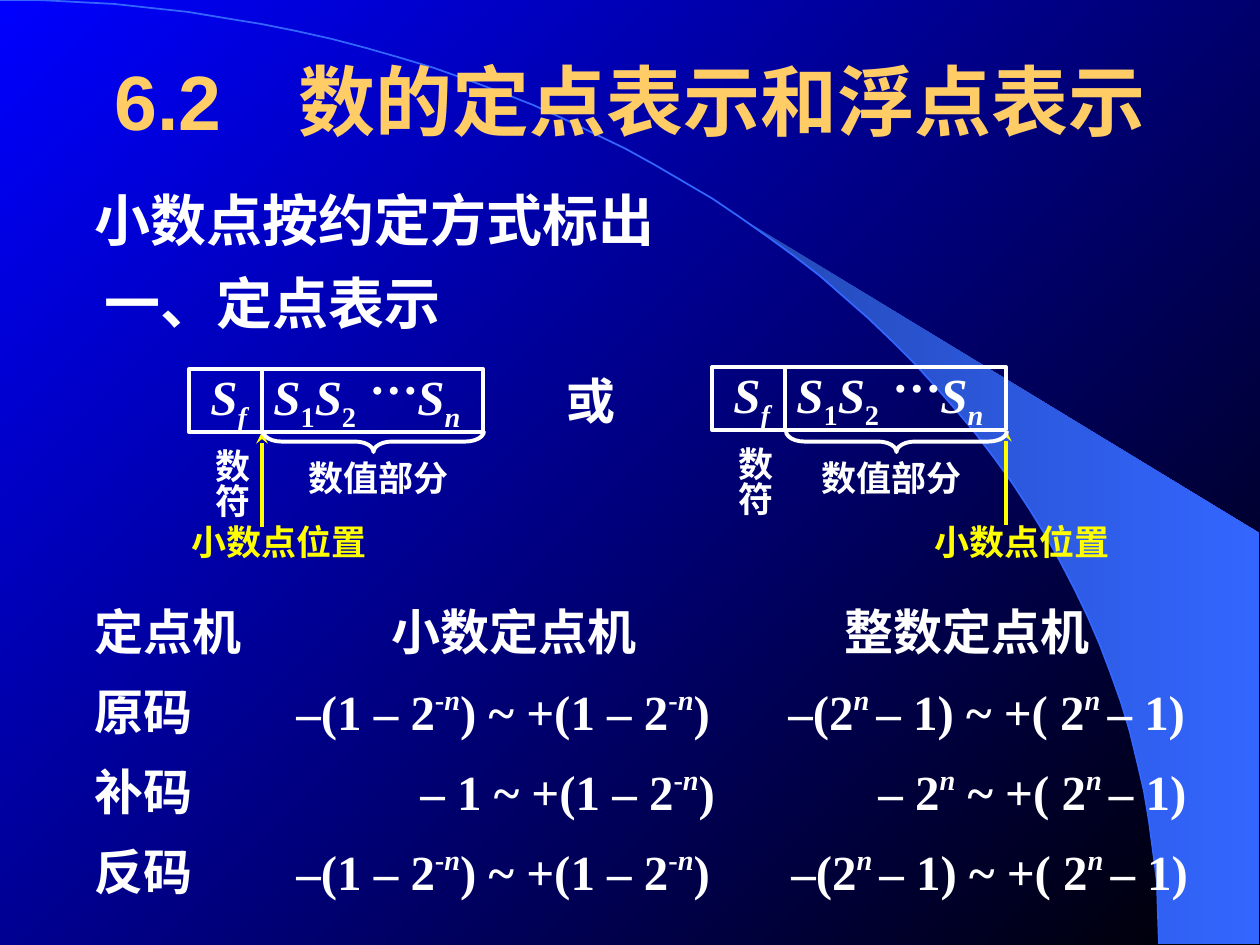
from dataclasses import dataclass

from lxml import etree
from pptx import Presentation
from pptx.dml.color import RGBColor
from pptx.enum.shapes import MSO_CONNECTOR, MSO_SHAPE
from pptx.enum.text import MSO_ANCHOR, MSO_AUTO_SIZE, PP_ALIGN
from pptx.oxml.ns import qn
from pptx.util import Emu, Pt

RECTANGLE = MSO_SHAPE.RECTANGLE
LEFT_BRACE = MSO_SHAPE.LEFT_BRACE
STRAIGHT = MSO_CONNECTOR.STRAIGHT
MIDDLE = MSO_ANCHOR.MIDDLE
CENTER = PP_ALIGN.CENTER
GROW = MSO_AUTO_SIZE.SHAPE_TO_FIT_TEXT
EMU_PER_PX = 914400 / 126


@dataclass(frozen=True)
class Theme:
    heading_font: str = "Arial"
    body_font: str = "Times New Roman"
    white: str = "FFFFFF"
    yellow: str = "FFFF00"
    gold: str = "FFCC66"
    sky: str = "3366FF"
    deep_sky: str = "2449B6"
    blue: str = "0000FF"
    black: str = "000000"
    title_size: int = 44
    heading_size: int = 32
    body_size: int = 28
    label_size: int = 20
    rule: float = 2.25
    arc_rule: float = 1


THEME = Theme()
BASELINES = {"^": "40000", "_": "-25000"}
REGISTER_WIDTH, REGISTER_HEIGHT, SIGN_WIDTH = 294, 63, 73

REGISTER_BITS = [("S", "i"), ("f", "_i"), ("\t", ""), ("S", "i"), ("1", "_"),
                 ("S", "i"), ("2", "_"), ("\t", ""), ("S", "i"), ("n", "_i")]
POSITIVE_FRACTION = [("-", "^"), ("n", "^i"), (")", "")]
FRACTION_RANGE = [("–(1 – 2", ""), ("-", "^"), ("n", "^i"), (") ~ +(1 – 2", ""),
                  *POSITIVE_FRACTION]
POSITIVE_INTEGER = [("n ", "^i"), ("– 1)", "")]
INTEGER_RANGE = [("–(2", ""), ("n ", "^i"), ("– 1) ~ +( 2", ""), *POSITIVE_INTEGER]
FRACTION_COMPLEMENT = [("– 1 ~ +(1 – 2", ""), *POSITIVE_FRACTION]
INTEGER_COMPLEMENT = [("– 2", ""), ("n", "^i"), (" ~ +( 2", ""), *POSITIVE_INTEGER]


def px(value):
    return Emu(round(value * EMU_PER_PX))


def rgb(value):
    return RGBColor.from_string(value)


def fill_gradient(fill, colors, angle):
    fill.gradient()
    fill.gradient_angle = angle
    for stop, color, position in zip(fill.gradient_stops, colors, (0, 1)):
        stop.color.rgb = rgb(color)
        stop.position = position


def set_line(line, color, width=THEME.rule):
    line.color.rgb = rgb(color)
    line.width = Pt(width)


def add_runs(paragraph, runs, size, color, font_name):
    for text, style in runs:
        run = paragraph.add_run()
        run.text = text
        font = run.font
        font.name = font_name
        font.size = Pt(size)
        font.bold = True
        font.italic = "i" in style
        font.color.rgb = rgb(color)
        for mark, baseline in BASELINES.items():
            if mark in style:
                run._r.get_or_add_rPr().set("baseline", baseline)


def add_label(slide, text, box, size=THEME.body_size, color=THEME.white,
              wrap=False, vertical=False, tabs=()):
    frame = slide.shapes.add_textbox(*map(px, box)).text_frame
    frame.word_wrap = wrap
    frame.auto_size = GROW
    if vertical:
        frame._txBody.bodyPr.set("vert", "eaVert")
    paragraph = frame.paragraphs[0]
    if tabs:
        tab_list = etree.SubElement(paragraph._p.get_or_add_pPr(), qn("a:tabLst"))
        for position in tabs:
            etree.SubElement(tab_list, qn("a:tab"), pos=str(px(position)), algn="l")
    runs = [(text, "")] if isinstance(text, str) else text
    add_runs(paragraph, runs, size, color, THEME.body_font)


def add_outline(slide, kind, box):
    outline = slide.shapes.add_shape(kind, *map(px, box))
    outline.shadow.inherit = False
    outline.fill.background()
    set_line(outline.line, THEME.white)
    return outline


def add_rule(slide, start, end, color, arrow=False):
    rule = slide.shapes.add_connector(STRAIGHT, *map(px, (*start, *end)))
    set_line(rule.line, color)
    if arrow:
        etree.SubElement(rule.line._get_or_add_ln(), qn("a:tailEnd"), type="stealth")
    etree.SubElement(rule._element.spPr, qn("a:effectLst"))


def add_freeform(slide, points, closed):
    builder = slide.shapes.build_freeform(*points[0], scale=EMU_PER_PX)
    builder.add_line_segments(points[1:], close=closed)
    outline = builder.convert_to_shape()
    outline.shadow.inherit = False
    return outline


def arc_points(steps=50):
    points = []
    for step in range(steps + 1):
        t = step / steps
        u = 1 - t
        x = 3 * u * u * t * 640 + 3 * u * t * t * 1159 + t ** 3 * 1159
        y = 3 * u * t * t * 422 + t ** 3 * 944
        points.append((round(x, 2), round(y, 2)))
    return points


def add_backdrop(slide):
    fill_gradient(slide.background.fill, (THEME.blue, THEME.black), 315)
    curve = arc_points()
    beam = add_freeform(slide, [*curve[22:], (1259, 944), (1259, 533)], True)
    fill_gradient(beam.fill, (THEME.deep_sky, THEME.sky), 0)
    beam.line.fill.background()
    arc = add_freeform(slide, curve, False)
    arc.fill.background()
    set_line(arc.line, THEME.sky, THEME.arc_rule)
    for layer, decoration in enumerate((beam, arc), start=2):
        slide.shapes._spTree.insert(layer, decoration._element)


def add_title(slide, text):
    title = slide.shapes.title
    title.left, title.top, title.width, title.height = map(px, (95, 21, 1071, 158))
    frame = title.text_frame
    frame.vertical_anchor = MIDDLE
    paragraph = frame.paragraphs[0]
    paragraph.alignment = CENTER
    add_runs(paragraph, [(text, "")], THEME.title_size, THEME.gold, THEME.heading_font)


def add_register(slide, left, top, point_x, value_left, point_left):
    divider = left + SIGN_WIDTH
    bottom = top + REGISTER_HEIGHT
    small = THEME.label_size
    add_label(slide, REGISTER_BITS, (left + 9, top - 9, 287, 72), wrap=True, tabs=(63, 207))
    add_label(slide, "…", (left + 168, top - 30, 74, 72))
    add_outline(slide, RECTANGLE, (left, top, REGISTER_WIDTH, REGISTER_HEIGHT))
    add_rule(slide, (divider, top), (divider, bottom), THEME.white)
    add_rule(slide, (point_x, bottom + 95), (point_x, bottom), THEME.yellow, arrow=True)
    add_label(slide, "数符", (left + 3, top + 67, 67, 83), small, vertical=True)
    add_label(slide, "数值部分", (value_left, 450, 166, 54), small)
    add_label(slide, "小数点位置", (point_left, 514, 202, 54), small, THEME.yellow)
    brace = add_outline(slide, LEFT_BRACE, (left + 174, 331, 21, 221))
    brace.rotation = 270
    brace.adjustments[0] = 0.875
    brace.adjustments[1] = 0.5


def add_ranges(slide):
    header_top, row_gap = 595, 80
    for text, left, width in (("定点机", 82, 173), ("小数定点机", 379, 271),
                              ("整数定点机", 832, 271)):
        add_label(slide, text, (left, header_top, width, 72))
    rows = (("原码", FRACTION_RANGE, 284, INTEGER_RANGE, 776),
            ("补码", FRACTION_COMPLEMENT, 408, INTEGER_COMPLEMENT, 866),
            ("反码", FRACTION_RANGE, 284, INTEGER_RANGE, 779))
    for row, (code, fraction, fraction_left, integer, integer_left) in enumerate(rows, 1):
        top = header_top + row * row_gap
        add_label(slide, code, (82, top, 123, 72))
        add_label(slide, fraction, (fraction_left, top, 449, 72), wrap=True)
        add_label(slide, integer, (integer_left, top, 1260 - integer_left, 72), wrap=True)


def main():
    deck = Presentation()
    deck.slide_width, deck.slide_height = px(1260), px(945)
    slide = deck.slides.add_slide(deck.slide_layouts[5])
    add_backdrop(slide)
    add_title(slide, "6.2　数的定点表示和浮点表示")
    add_label(slide, "小数点按约定方式标出", (82, 179, 587, 79), THEME.heading_size)
    add_label(slide, "一、定点表示", (92, 262, 363, 79), THEME.heading_size)
    add_register(slide, 189, 369, point_x=262, value_left=296, point_left=179)
    add_register(slide, 712, 367, point_x=1006, value_left=809, point_left=922)
    add_label(slide, "或", (554, 364, 74, 72))
    add_ranges(slide)
    deck.save("out.pptx")


if __name__ == "__main__":
    main()
